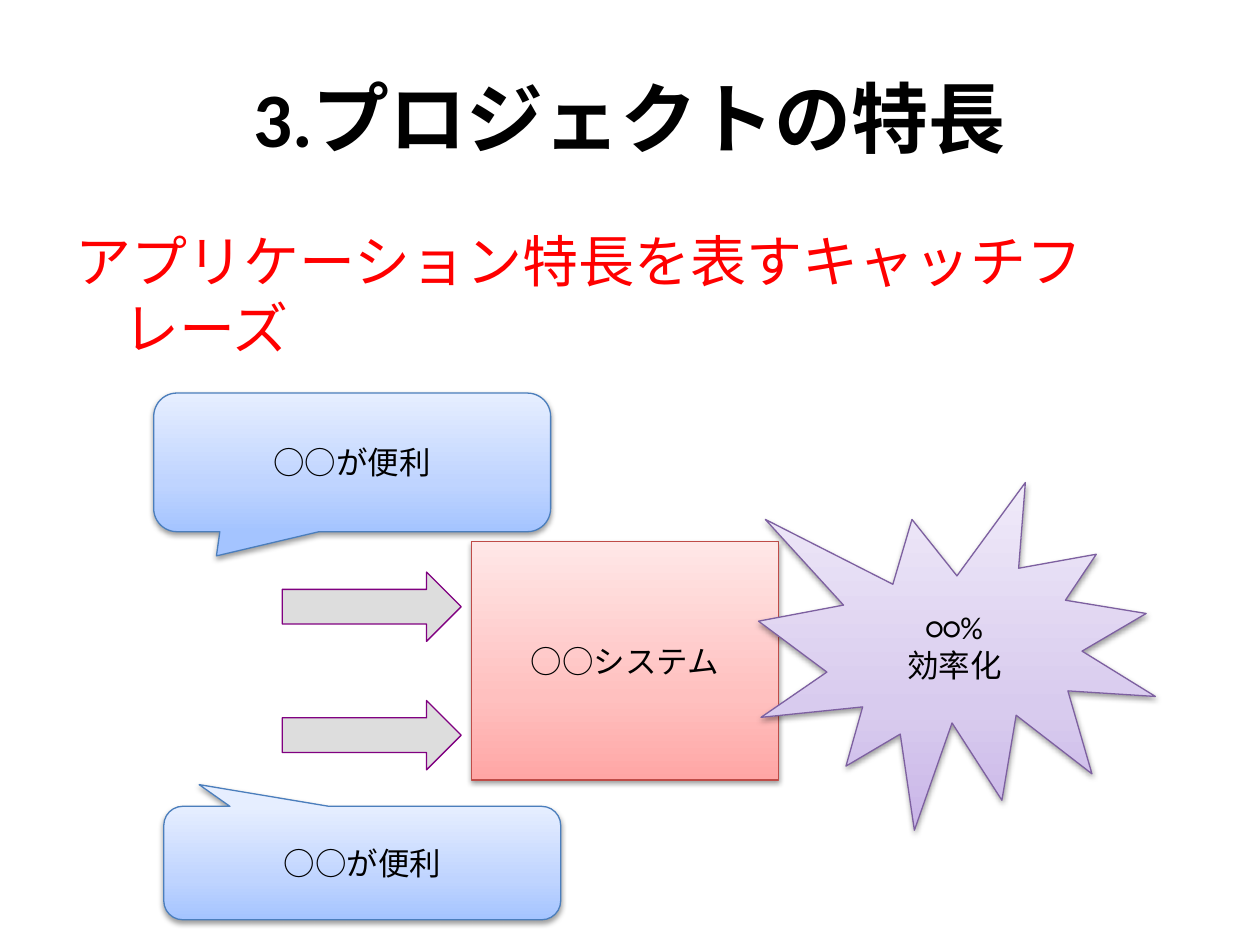
from copy import deepcopy

from lxml.etree import SubElement
from pptx import Presentation
from pptx.dml.color import RGBColor
from pptx.enum.shapes import MSO_SHAPE
from pptx.enum.text import MSO_ANCHOR, PP_ALIGN
from pptx.oxml.ns import qn
from pptx.util import Inches, Pt

THEME = {
    "font": "Calibri",
    "title": 44, "body": 32, "label": 18, "line": 0.75,
    "text": "000000", "accent": "FF0000", "shadow": "000000",
    "arrow": ("DDDDDD", "800080"),
    "blue": (("A4C4FF", "BFD4FF", "E6EEFF"), "4B7EBC"),
    "red": (("FFA6A5", "FFC0BF", "FFE7E7"), "BF4C48"),
    "purple": (("C9B5E8", "D8CBEE", "F0EAF9"), "7D60A0"),
}
STOPS = (0, 0.35, 1)

TITLE = "3.プロジェクトの特長"
CATCHPHRASE = "アプリケーション特長を表すキャッチフレーズ"

ARROW_X, ARROW_W, ARROW_H = 2.24, 1.42, 0.55
ARROW_TOPS = (4.54, 5.56)

CALLOUT = MSO_SHAPE.ROUNDED_RECTANGULAR_CALLOUT
PANELS = [
    (CALLOUT, (1.22, 3.12, 3.15, 1.1), "blue", ["○○が便利"], (-0.342, 0.675, 0.167)),
    (CALLOUT, (1.3, 6.4, 3.15, 0.9), "blue", ["○○が便利"], (-0.411, -0.692, 0.167)),
    (MSO_SHAPE.FLOWCHART_PROCESS, (3.74, 4.3, 2.44, 1.89), "red", ["○○システム"], ()),
    (MSO_SHAPE.EXPLOSION1, (6.02, 3.83, 3.15, 2.76), "purple", ["○○%", "効率化"], ()),
]


def rgb(value):
    return RGBColor.from_string(value)


def write(sp, lines, size, color, align=PP_ALIGN.CENTER, anchor=MSO_ANCHOR.MIDDLE, bold=False):
    tf = sp.text_frame
    tf.word_wrap = True
    tf.vertical_anchor = anchor
    for i, line in enumerate(lines):
        p = tf.add_paragraph() if i else tf.paragraphs[0]
        p.alignment = align
        r = p.add_run()
        r.text = line
        r.font.name = THEME["font"]
        r.font.size = Pt(size)
        r.font.bold = bold
        r.font.color.rgb = rgb(color)
    return tf


def add_textbox(s, box):
    return s.shapes.add_textbox(*map(Inches, box))


def add_shape(s, kind, box, line):
    sp = s.shapes.add_shape(kind, *map(Inches, box))
    sp.shadow.inherit = False
    sp.line.color.rgb = rgb(line)
    sp.line.width = Pt(THEME["line"])
    return sp


def fill_gradient(sp, colors):
    sp.fill.gradient()
    sp.fill.gradient_angle = 90
    stops = sp._element.spPr.find(qn("a:gradFill")).find(qn("a:gsLst"))
    stops.insert(1, deepcopy(stops[0]))
    for stop, position, color in zip(sp.fill.gradient_stops, STOPS, colors):
        stop.position = position
        stop.color.rgb = rgb(color)


def add_shadow(sp):
    effects = sp._element.spPr.find(qn("a:effectLst"))
    shadow = SubElement(effects, qn("a:outerShdw"), blurRad=str(Pt(3.1)),
                        dist=str(Pt(1.6)), dir="5400000", rotWithShape="0")
    color = SubElement(shadow, qn("a:srgbClr"), val=THEME["shadow"])
    SubElement(color, qn("a:alpha"), val="38000")


def main():
    prs = Presentation()
    prs.slide_width, prs.slide_height = Inches(10), Inches(7.5)
    s = prs.slides.add_slide(prs.slide_layouts[6])

    write(add_textbox(s, (0.5, 0.3, 9, 1.25)), [TITLE], THEME["title"], THEME["text"], bold=True)
    tf = write(add_textbox(s, (0.5, 1.75, 9, 4.95)), [CATCHPHRASE], THEME["body"],
               THEME["accent"], PP_ALIGN.LEFT, MSO_ANCHOR.TOP)
    indent = tf.paragraphs[0]._p.get_or_add_pPr()
    indent.set("marL", str(Inches(0.38)))
    indent.set("indent", str(Inches(-0.38)))

    fill, line = THEME["arrow"]
    for top in ARROW_TOPS:
        sp = add_shape(s, MSO_SHAPE.RIGHT_ARROW, (ARROW_X, top, ARROW_W, ARROW_H), line)
        sp.fill.solid()
        sp.fill.fore_color.rgb = rgb(fill)

    for kind, box, style, lines, adjustments in PANELS:
        colors, line = THEME[style]
        sp = add_shape(s, kind, box, line)
        for i, value in enumerate(adjustments):
            sp.adjustments[i] = value
        fill_gradient(sp, colors)
        add_shadow(sp)
        write(sp, lines, THEME["label"], THEME["text"])

    prs.save("out.pptx")


if __name__ == "__main__":
    main()
